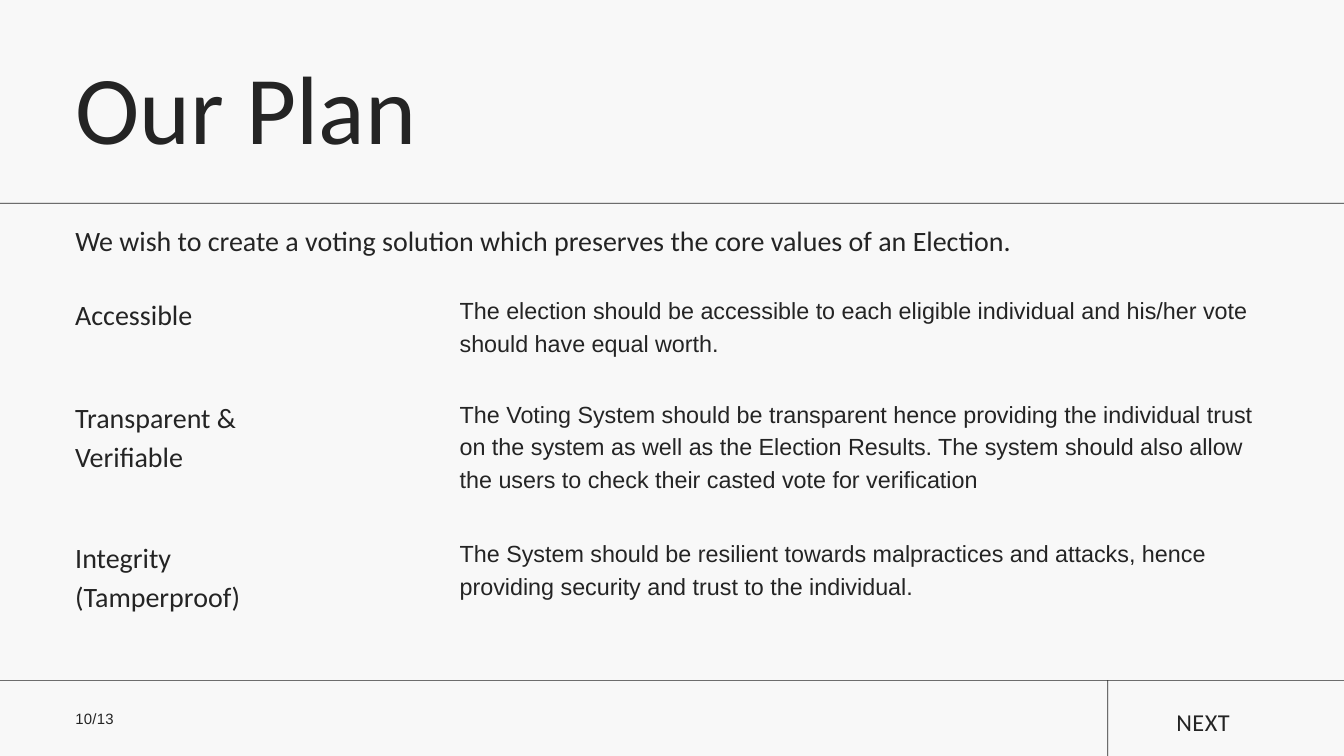
from pptx import Presentation
from pptx.dml.color import RGBColor
from pptx.enum.shapes import MSO_SHAPE
from pptx.enum.text import MSO_ANCHOR, MSO_AUTO_SIZE, PP_ALIGN
from pptx.util import Inches, Pt

INK = RGBColor(0x24, 0x24, 0x24)
PAPER = RGBColor(0xF8, 0xF8, 0xF8)
HEADING_FONT, BODY_FONT = "Calibri", "Arial"

# Content
TITLE = "Our Plan"
INTRODUCTION = "We wish to create a voting solution which preserves the core values of an Election."
# top, value lines, value height, explanation, explanation height
VALUES = [
    (4.34, ["Accessible"], 0.55,
     "The election should be accessible to each eligible individual and his/her vote "
     "should have equal worth.", 0.94),
    (5.88, ["Transparent &", "Verifiable"], 1.14,
     "The Voting System should be transparent hence providing the individual trust on the "
     "system as well as the Election Results. The system should also allow the users to "
     "check their casted vote for verification", 1.41),
    (7.96, ["Integrity", "(Tamperproof)"], 1.14,
     "The System should be resilient towards malpractices and attacks, hence providing "
     "security and trust to the individual.", 0.94),
]
PAGE_NUMBER = "10/13"
NEXT_LABEL = "NEXT"

# Layout, in inches
WIDTH, HEIGHT = 20, 11.25
MARGIN = 1.12
EXPLANATION_LEFT = 6.84
RIGHT_EDGE = 18.87
FOOTER_TOP = 10.12
RULE = 0.01
RULES = [
    (0, 3.02, WIDTH, RULE),
    (0, FOOTER_TOP, WIDTH, RULE),
    (16.48, FOOTER_TOP, RULE, HEIGHT - FOOTER_TOP),
]


def write_text(shape, lines, *, size, font=HEADING_FONT, line_factor=1.4,
               alignment=PP_ALIGN.LEFT, tracking=0):
    frame = shape.text_frame
    frame.margin_left = frame.margin_right = frame.margin_top = frame.margin_bottom = 0
    frame.word_wrap = True
    frame.auto_size = MSO_AUTO_SIZE.SHAPE_TO_FIT_TEXT
    frame.vertical_anchor = MSO_ANCHOR.TOP
    for index, line in enumerate(lines):
        paragraph = frame.paragraphs[0] if index == 0 else frame.add_paragraph()
        paragraph.alignment = alignment
        paragraph.line_spacing = Pt(size * line_factor)
        paragraph.space_before = paragraph.space_after = Pt(0)
        run = paragraph.add_run()
        run.text = line
        run.font.name = font
        run.font.size = Pt(size)
        run.font.color.rgb = INK
        if tracking:
            run.font._element.set("spc", str(round(tracking * 100)))


def add_text(slide, box, lines, **text_format):
    shape = slide.shapes.add_textbox(*map(Inches, box))
    write_text(shape, lines, **text_format)


def add_rule(slide, box):
    shape = slide.shapes.add_shape(MSO_SHAPE.RECTANGLE, *map(Inches, box))
    shape.shadow.inherit = False
    shape.fill.solid()
    shape.fill.fore_color.rgb = INK
    shape.line.fill.background()


def main():
    presentation = Presentation()
    presentation.slide_width, presentation.slide_height = Inches(WIDTH), Inches(HEIGHT)
    slide = presentation.slides.add_slide(presentation.slide_layouts[5])
    slide.background.fill.solid()
    slide.background.fill.fore_color.rgb = PAPER

    # Title
    title = slide.shapes.title
    title.left, title.top, title.width, title.height = map(Inches, (MARGIN, 0.7, 15.35, 1.72))
    write_text(title, [TITLE], size=104, line_factor=1.2)

    # Dividing rules
    for box in RULES:
        add_rule(slide, box)

    # Introduction and core values
    add_text(slide, (MARGIN, 3.24, RIGHT_EDGE - MARGIN, 0.57), [INTRODUCTION], size=30)
    for top, value, value_height, explanation, explanation_height in VALUES:
        add_text(slide, (MARGIN, top, 4.83, value_height), value, size=30)
        add_text(slide, (EXPLANATION_LEFT, top, RIGHT_EDGE - EXPLANATION_LEFT,
                         explanation_height), [explanation], size=25, font=BODY_FONT)

    # Footer
    add_text(slide, (MARGIN, 10.51, 1.48, 0.31), [PAGE_NUMBER],
             size=16, font=BODY_FONT, tracking=0.3)
    add_text(slide, (16.97, 10.45, 1.33, 0.46), [NEXT_LABEL],
             size=26, alignment=PP_ALIGN.RIGHT, tracking=0.5)

    presentation.save("out.pptx")


if __name__ == "__main__":
    main()
